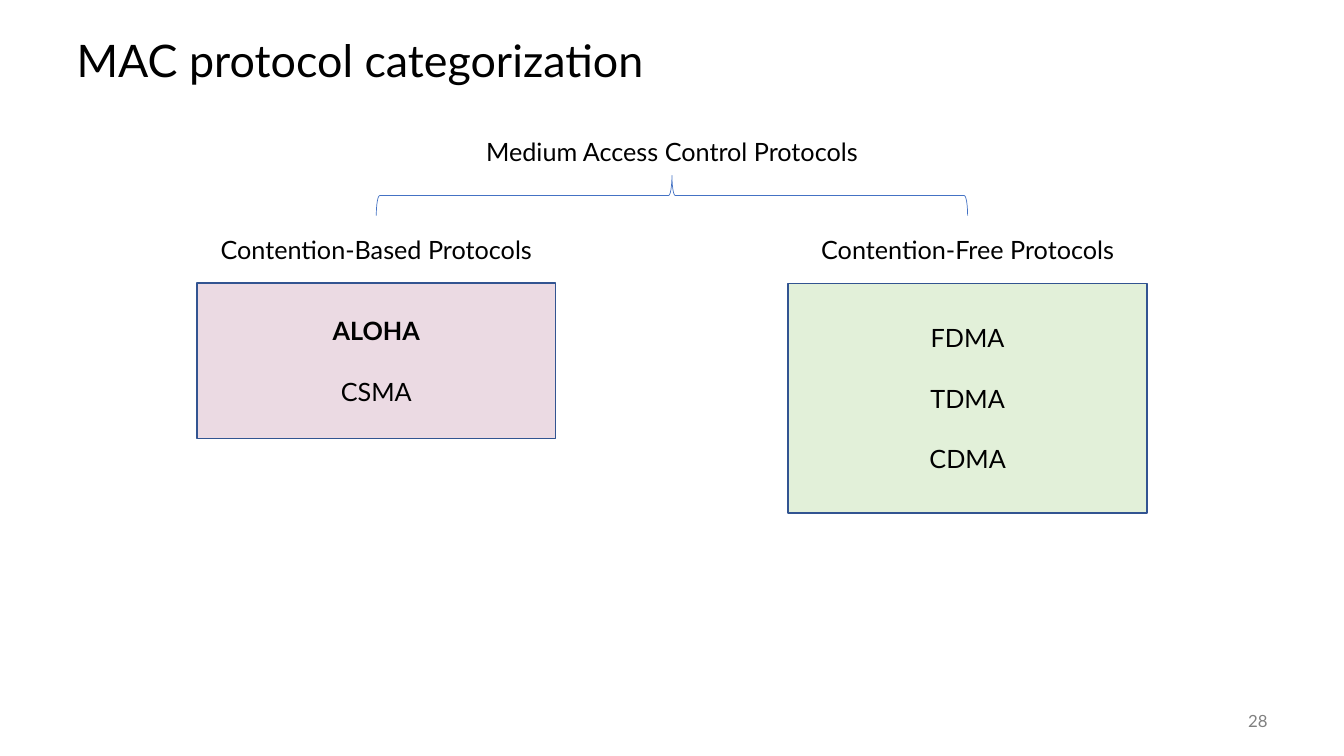
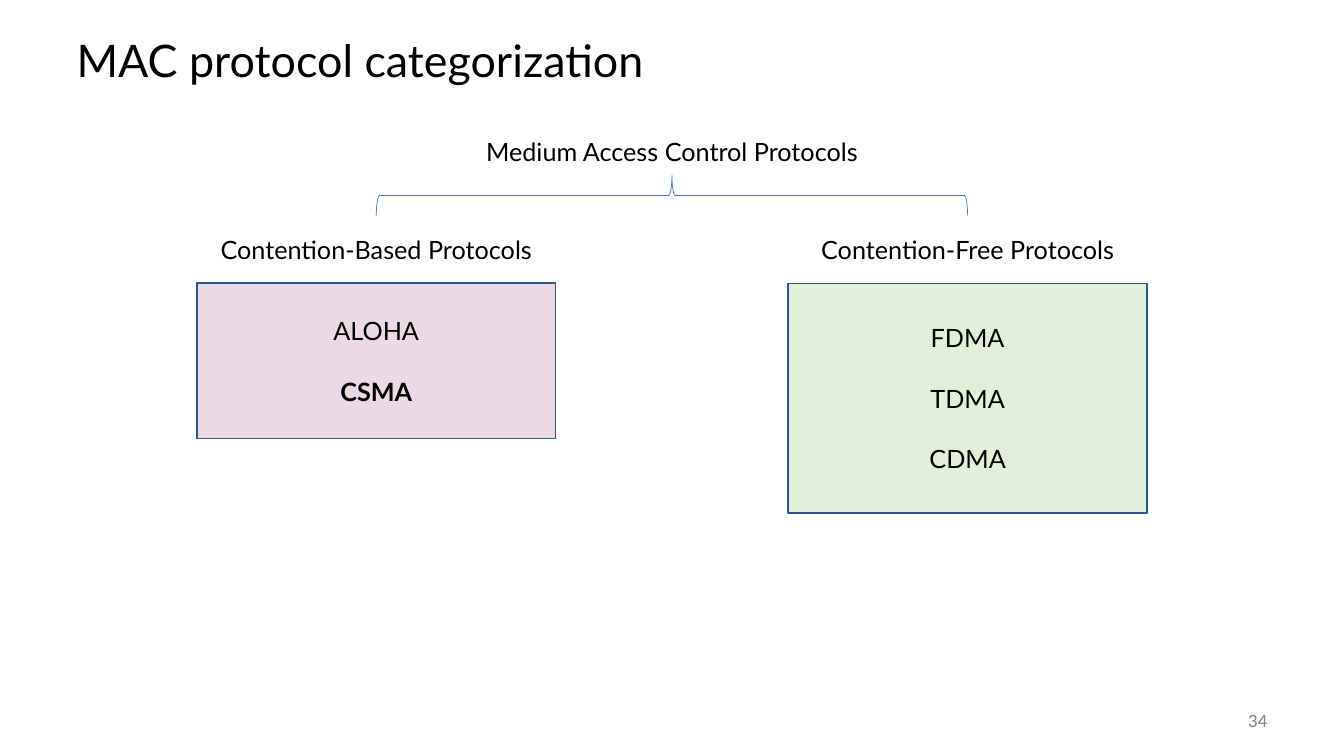
import dataclasses

import pptx
import pptx.dml.color
import pptx.enum.shapes
import pptx.enum.text
import pptx.util

Inches = pptx.util.Inches
Align = pptx.enum.text.PP_ALIGN
Anchor = pptx.enum.text.MSO_ANCHOR
Preset = pptx.enum.shapes.MSO_SHAPE


@dataclasses.dataclass(frozen=True)
class Theme:
    font: str = "Lato"
    ink: str = "000000"
    muted: str = "808080"
    outline: str = "325491"
    brace: str = "4472C4"
    title_size: int = 32
    body_size: int = 18
    number_size: int = 12
    item_gap: float = 21.6


@dataclasses.dataclass(frozen=True)
class Category:
    heading: str
    items: tuple
    fill: str
    centre: float
    height: float


THEME = Theme()
WIDTH, HEIGHT = 13.33, 7.5
MIDDLE = WIDTH / 2
LABEL_WIDTH, LABEL_HEIGHT = 4.3, 0.4
ROOT_TOP, BRACE_TOP, HEADING_TOP, CARD_TOP = 1.3, 1.74, 2.28, 2.81
BRACE_HEIGHT = 0.4
CARD_WIDTH = 3.56
CATEGORIES = (
    Category("Contention-Based Protocols", ("ALOHA", "CSMA"), "EBDAE3", 0.28 * WIDTH, 1.54),
    Category("Contention-Free Protocols", ("FDMA", "TDMA", "CDMA"), "E2F0D9", 0.72 * WIDTH, 2.28),
)
SLIDES = ((28, "ALOHA"), (34, "CSMA"))


def rgb(value):
    return pptx.dml.color.RGBColor.from_string(value)


def style_paragraph(paragraph, size, color, align, bold=False):
    paragraph.alignment = align
    for span in paragraph.runs:
        span.font.name = THEME.font
        span.font.size = pptx.util.Pt(size)
        span.font.color.rgb = rgb(color)
        span.font.bold = bold


def place(shape, left, top, width, height):
    shape.left, shape.top = Inches(left), Inches(top)
    shape.width, shape.height = Inches(width), Inches(height)


def add_title(page, text):
    title = page.shapes.title
    place(title, 0.66, 0.25, 12, 0.75)
    frame = title.text_frame
    frame.text = text
    frame.auto_size = pptx.enum.text.MSO_AUTO_SIZE.NONE
    frame.vertical_anchor = Anchor.MIDDLE
    paragraph = frame.paragraphs[0]
    paragraph.line_spacing = 0.9
    style_paragraph(paragraph, THEME.title_size, THEME.ink, Align.LEFT)


def add_text(page, text, left, top, width, size, color, align, anchor=Anchor.TOP):
    box = page.shapes.add_textbox(Inches(left), Inches(top), Inches(width), Inches(LABEL_HEIGHT))
    frame = box.text_frame
    frame.word_wrap = True
    frame.vertical_anchor = anchor
    frame.text = text
    style_paragraph(frame.paragraphs[0], size, color, align)


def add_label(page, text, centre, top):
    add_text(page, text, centre - LABEL_WIDTH / 2, top, LABEL_WIDTH,
             THEME.body_size, THEME.ink, Align.CENTER)


def add_outlined(page, preset, left, top, width, height, color, weight):
    shape = page.shapes.add_shape(preset, Inches(left), Inches(top), Inches(width), Inches(height))
    shape.shadow.inherit = False
    shape.line.color.rgb = rgb(color)
    shape.line.width = pptx.util.Pt(weight)
    return shape


def add_brace(page, start, end):
    span = end - start
    middle = BRACE_TOP + BRACE_HEIGHT / 2
    brace = add_outlined(page, Preset.RIGHT_BRACE, (start + end - BRACE_HEIGHT) / 2,
                         middle - span / 2, BRACE_HEIGHT, span, THEME.brace, 0.5)
    brace.fill.background()
    brace.rotation = 270


def add_category(page, category, current):
    add_label(page, category.heading, category.centre, HEADING_TOP)
    card = add_outlined(page, Preset.RECTANGLE, category.centre - CARD_WIDTH / 2, CARD_TOP,
                        CARD_WIDTH, category.height, THEME.outline, 1)
    card.fill.solid()
    card.fill.fore_color.rgb = rgb(category.fill)
    frame = card.text_frame
    frame.vertical_anchor = Anchor.MIDDLE
    frame.text = "\n".join(category.items)
    for index, paragraph in enumerate(frame.paragraphs):
        if index:
            paragraph.space_before = pptx.util.Pt(THEME.item_gap)
        style_paragraph(paragraph, THEME.body_size, THEME.ink, Align.CENTER,
                        paragraph.text == current)


def add_page(deck, number, current):
    page = deck.slides.add_slide(deck.slide_layouts.get_by_name("Title Only"))
    add_title(page, "MAC protocol categorization")
    add_label(page, "Medium Access Control Protocols", MIDDLE, ROOT_TOP)
    add_brace(page, CATEGORIES[0].centre, CATEGORIES[-1].centre)
    for category in CATEGORIES:
        add_category(page, category, current)
    add_text(page, str(number), 11.67, 6.95, 1, THEME.number_size, THEME.muted,
             Align.RIGHT, Anchor.MIDDLE)


def main():
    deck = pptx.Presentation()
    deck.slide_width, deck.slide_height = Inches(WIDTH), Inches(HEIGHT)
    for number, current in SLIDES:
        add_page(deck, number, current)
    deck.save("out.pptx")


if __name__ == "__main__":
    main()
